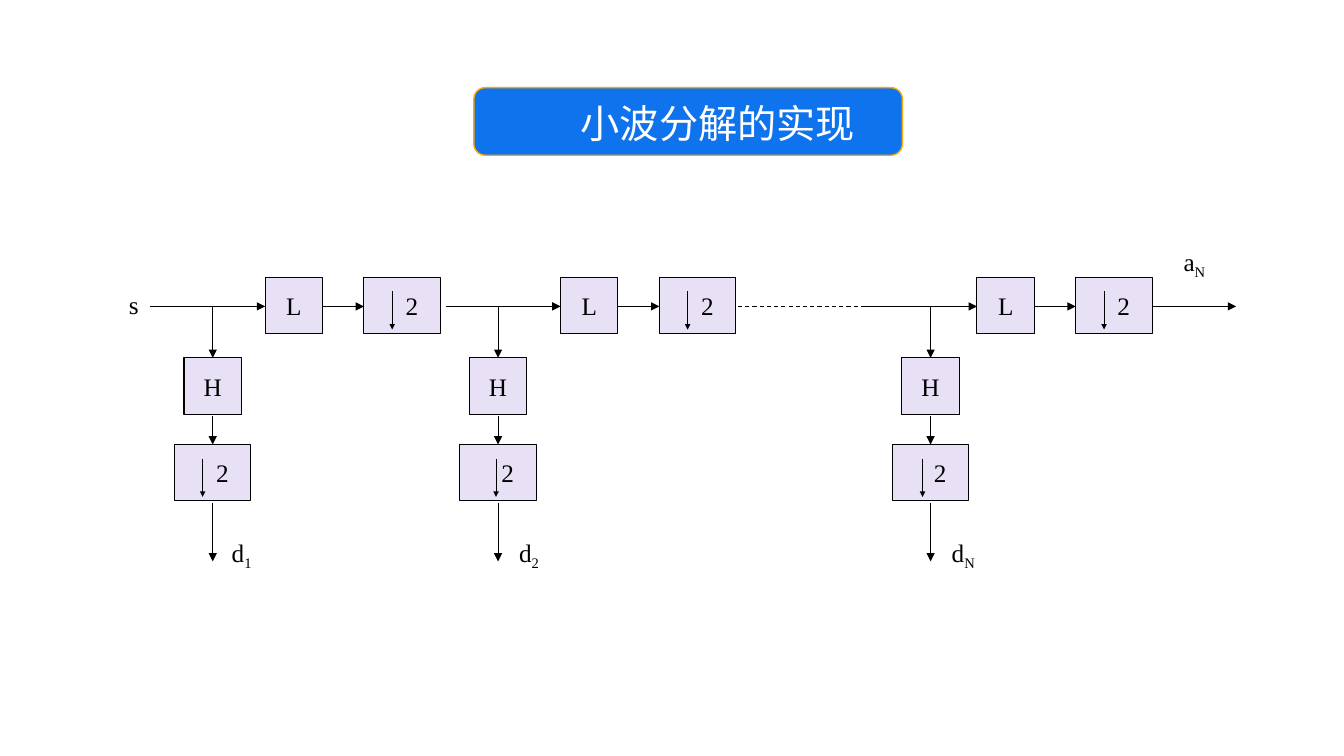
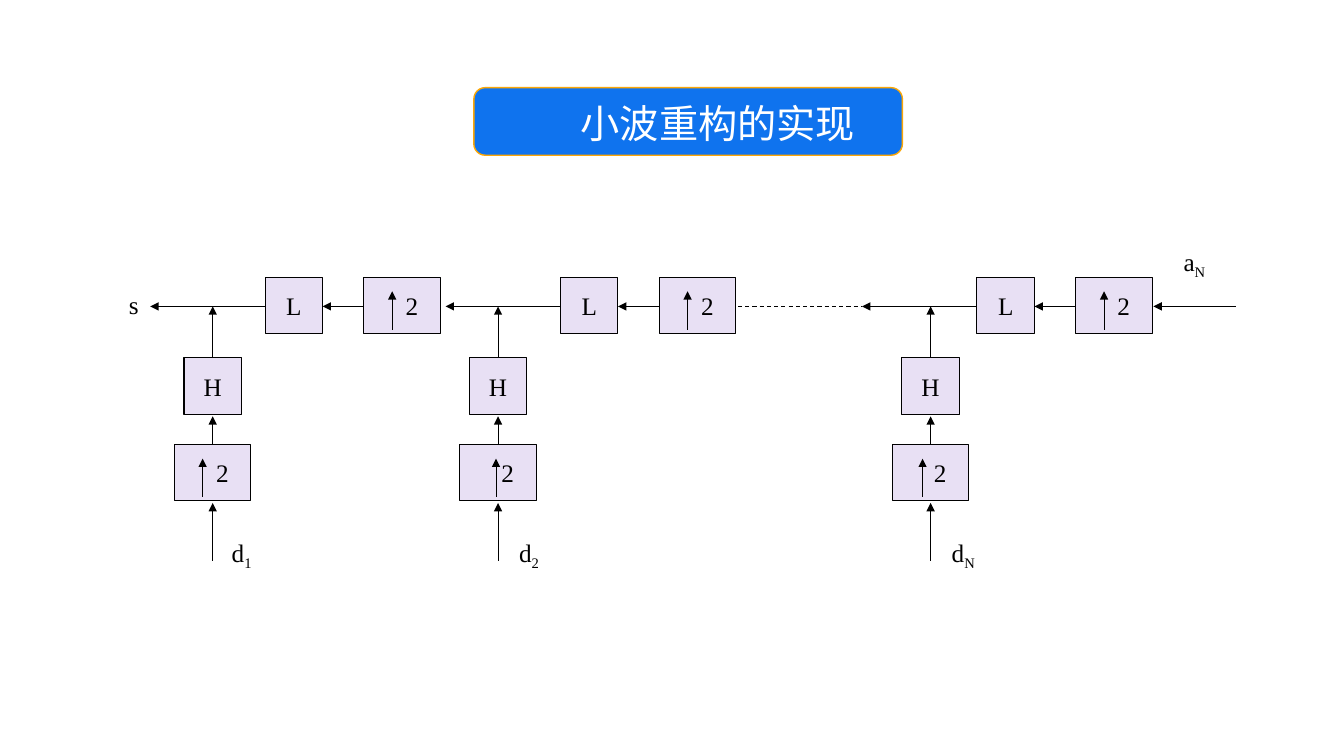
import pptx
import pptx.dml.color
import pptx.enum.dml
import pptx.enum.shapes
import pptx.enum.text
import pptx.oxml.ns
import pptx.util
from lxml import etree

Inches = pptx.util.Inches
Pt = pptx.util.Pt
RGBColor = pptx.dml.color.RGBColor
ALIGN = pptx.enum.text.PP_ALIGN
ANCHOR = pptx.enum.text.MSO_ANCHOR
SHAPE = pptx.enum.shapes.MSO_SHAPE
qn = pptx.oxml.ns.qn

BLUE = RGBColor(0x0F, 0x73, 0xEE)
ORANGE = RGBColor(0xFB, 0xA7, 0x07)
LILAC = RGBColor(0xE8, 0xE0, 0xF4)
BLACK = RGBColor(0, 0, 0)
WHITE = RGBColor(0xFF, 0xFF, 0xFF)

TITLE_FONT = "Noto Sans CJK SC"
TITLE_FORMAT = {"name": TITLE_FONT, "size": Pt(28), "bold": False}
DIAGRAM_FORMAT = {"name": "Times New Roman", "size": Pt(18)}

FILTER_WIDTH, SAMPLER_WIDTH, BLOCK_HEIGHT = 0.57, 0.76, 0.56
FILTER_OFFSET, SAMPLER_OFFSET = 1.14, 2.12
DIAGRAM_BOX = (1.18, 2.39, 11.28, 3.4)
AXIS_OFFSET = 0.65

# Stage left, branch offset, sampling arrow offset from the branch,
# label offset from the branch, label width, subscript
STAGES = [
    (0.31, 0.62, -0.10, 0.09, 0.45, "1"),
    (3.24, 0.52, -0.02, 0.11, 0.45, "2"),
    (7.37, 0.68, -0.08, 0.11, 0.52, "N"),
]
SLIDES = [("小波分解的实现", False), ("小波重构的实现", True)]


def format_run(run, color, values):
    run.font.color.rgb = color
    for name, value in values.items():
        setattr(run.font, name, value)


def add_box(slide, kind, left, top, width, height, fill, line, line_width):
    shape = slide.shapes.add_shape(
        kind, Inches(left), Inches(top), Inches(width), Inches(height))
    shape.shadow.inherit = False
    shape.fill.solid()
    shape.fill.fore_color.rgb = fill
    shape.line.color.rgb = line
    shape.line.width = Pt(line_width)
    return shape


def add_title(slide, text):
    """Put the slide title on its rounded banner."""
    banner = add_box(slide, SHAPE.ROUNDED_RECTANGLE, 4.7, 0.87, 4.25, 0.67,
                     BLUE, ORANGE, 1)
    title = slide.shapes.title
    title.element.addprevious(banner.element)
    title.left, title.top = Inches(5.66), Inches(0.93)
    title.width, title.height = Inches(2.95), Inches(0.57)
    frame = title.text_frame
    frame.word_wrap = False
    frame.auto_size = pptx.enum.text.MSO_AUTO_SIZE.SHAPE_TO_FIT_TEXT
    frame.vertical_anchor = ANCHOR.MIDDLE
    paragraph = frame.paragraphs[0]
    paragraph.alignment = ALIGN.LEFT
    run = paragraph.add_run()
    run.text = text
    format_run(run, WHITE, TITLE_FORMAT)
    properties = run.font._element
    etree.SubElement(properties, qn("a:ea")).set("typeface", TITLE_FONT)


def add_block(slide, text, left, top, width, indent=0.1):
    block = add_box(slide, SHAPE.RECTANGLE, left, top, width, BLOCK_HEIGHT,
                    LILAC, BLACK, 0.75)
    frame = block.text_frame
    frame.word_wrap = True
    frame.vertical_anchor = ANCHOR.MIDDLE
    frame.margin_left = Inches(indent)
    paragraph = frame.paragraphs[0]
    paragraph.alignment = ALIGN.CENTER
    run = paragraph.add_run()
    run.text = text
    format_run(run, BLACK, DIAGRAM_FORMAT)


def add_line(slide, left, top, right, bottom, arrow_end=None, size="med"):
    connector = slide.shapes.add_connector(
        pptx.enum.shapes.MSO_CONNECTOR.STRAIGHT,
        Inches(left), Inches(top), Inches(right), Inches(bottom))
    connector.line.color.rgb = BLACK
    connector.line.width = Pt(0.75)
    if arrow_end:
        arrow = etree.SubElement(connector.line._get_or_add_ln(), qn(arrow_end))
        for name, value in {"type": "triangle", "w": size, "len": size}.items():
            arrow.set(name, value)
    else:
        connector.line.dash_style = pptx.enum.dml.MSO_LINE.DASH
    etree.SubElement(connector.element.spPr, qn("a:effectLst"))


def add_label(slide, text, subscript, left, top, width):
    label = slide.shapes.add_textbox(
        Inches(left), Inches(top), Inches(width), Inches(0.51))
    label.text_frame.word_wrap = True
    paragraph = label.text_frame.paragraphs[0]
    paragraph.alignment = ALIGN.JUSTIFY
    for part, baseline in ((text, 0), (subscript, -25000)):
        if part:
            run = paragraph.add_run()
            run.text = part
            format_run(run, BLACK, DIAGRAM_FORMAT)
            if baseline:
                run.font._element.set("baseline", str(baseline))


def add_sampler(slide, left, top, arrow_offset, arrow_end):
    """Add a block that resamples by two, with its vertical arrow."""
    add_block(slide, "2", left, top, SAMPLER_WIDTH, indent=0.29)
    size = "sm" if arrow_end == "a:tailEnd" else "med"
    x = left + arrow_offset
    add_line(slide, x, top + 0.14, x, top + 0.52, arrow_end, size)


def add_branch(slide, center, axis, arrow_offset, arrow_end):
    """Add the high-pass column that hangs from the signal axis."""
    add_block(slide, "H", center - FILTER_WIDTH / 2, axis + 0.51, FILTER_WIDTH)
    add_sampler(slide, center - SAMPLER_WIDTH / 2, axis + 1.37,
                SAMPLER_WIDTH / 2 + arrow_offset, arrow_end)
    for start, end in ((0, 0.51), (1.09, 1.37), (1.95, 2.53)):
        add_line(slide, center, axis + start, center, axis + end, arrow_end)


def add_stage(slide, left, axis, arrow_end):
    """Add the low-pass part of one stage along the signal axis."""
    filter_left = left + FILTER_OFFSET
    sampler_left = left + SAMPLER_OFFSET
    top = axis - 0.29
    add_block(slide, "L", filter_left, top, FILTER_WIDTH)
    add_sampler(slide, sampler_left, top, 0.28, arrow_end)
    add_line(slide, left, axis, filter_left, axis, arrow_end)
    add_line(slide, filter_left + FILTER_WIDTH, axis, sampler_left, axis, arrow_end)


def add_filter_bank(slide, box, is_reversed):
    left, top, width, height = box
    axis = top + AXIS_OFFSET
    arrow_end = "a:headEnd" if is_reversed else "a:tailEnd"
    for offset, branch, arrow_offset, label_offset, label_width, subscript in STAGES:
        stage_left = left + offset
        center = stage_left + branch
        add_stage(slide, stage_left, axis, arrow_end)
        add_branch(slide, center, axis, arrow_offset, arrow_end)
        add_label(slide, "d", subscript, center + label_offset,
                  top + height - 0.51, label_width)
    add_line(slide, left + 6.14, axis, left + 7.37, axis)
    add_line(slide, left + 10.26, axis, left + 11.08, axis, arrow_end)
    add_label(slide, "s", "", left, axis - 0.22, 0.62)
    add_label(slide, "a", "N", left + width - 0.82, top, 0.82)


def main():
    presentation = pptx.Presentation()
    presentation.slide_width = Inches(13.33)
    presentation.slide_height = Inches(7.5)
    title_only = presentation.slide_layouts[5]
    for title, is_reversed in SLIDES:
        slide = presentation.slides.add_slide(title_only)
        add_title(slide, title)
        add_filter_bank(slide, DIAGRAM_BOX, is_reversed)
    presentation.save("out.pptx")


if __name__ == "__main__":
    main()
